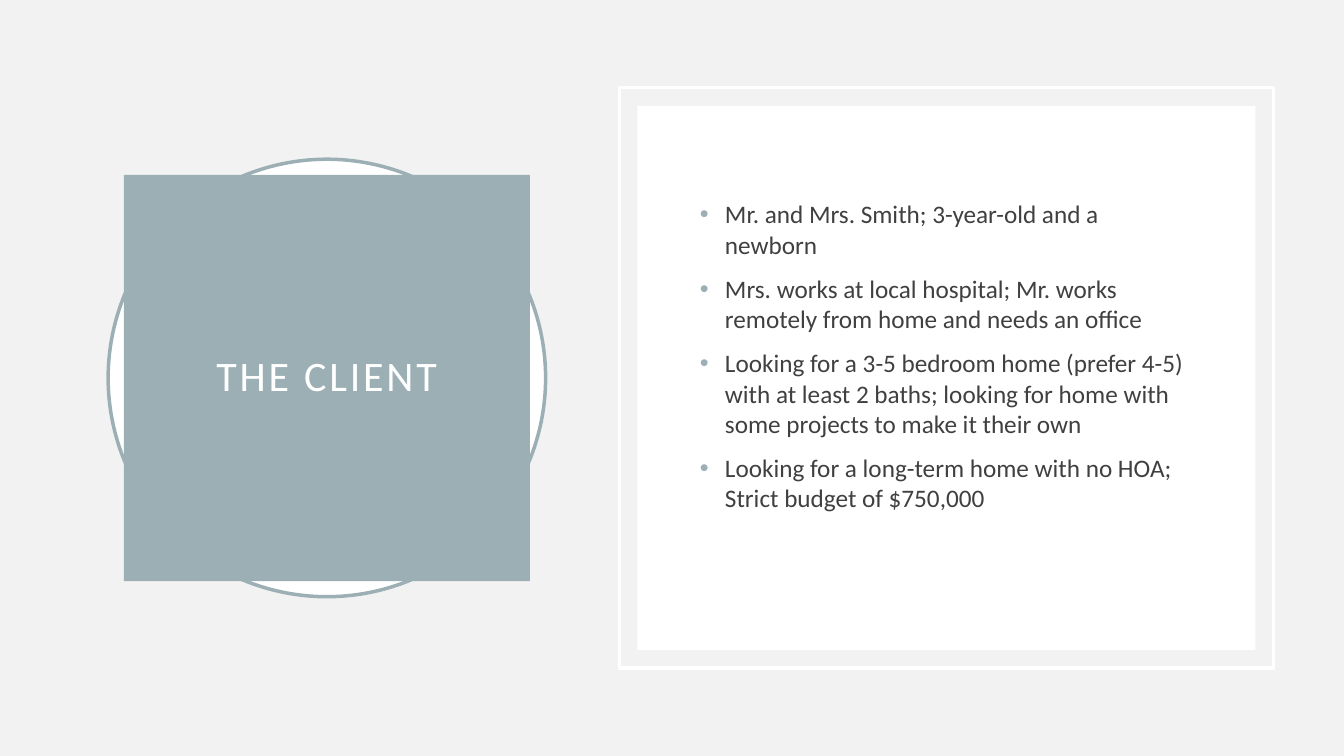
from pptx import Presentation
from pptx import util as u
from pptx.dml.color import RGBColor
from pptx.enum import shapes, text
from lxml import etree

PALE = RGBColor(0xF2, 0xF2, 0xF2)
WHITE = RGBColor(0xFF, 0xFF, 0xFF)
SAGE = RGBColor(0x9B, 0xAF, 0xB5)
INK = RGBColor(0x40, 0x40, 0x40)
A = "{http://schemas.openxmlformats.org/drawingml/2006/main}"

LEFT, RIGHT = 24.32, 70.42
FACTS = [
    "Mr. and Mrs. Smith; 3-year-old and a newborn",
    "Mrs. works at local hospital; Mr. works remotely from home and needs an office",
    "Looking for a 3-5 bedroom home (prefer 4-5) with at least 2 baths; "
    "looking for home with some projects to make it their own",
    "Looking for a long-term home with no HOA; Strict budget of $750,000",
]


class Page:
    face = "Calibri"
    stroke = u.Pt(2.5)

    def __init__(self, deck):
        self.wide, self.high = deck.slide_width, deck.slide_height
        self.slide = deck.slides.add_slide(deck.slide_layouts[5])
        fill = self.slide.background.fill
        fill.solid()
        fill.fore_color.rgb = PALE

    def box(self, mid, cols, rows):
        wide = int(self.wide * cols / 100)
        high = int(self.high * rows / 100)
        left = int(self.wide * mid / 100) - wide // 2
        return left, (self.high - high) // 2, wide, high

    def font(self, para, size, color):
        para.font.name = self.face
        para.font.size = u.Pt(size)
        para.font.color.rgb = color

    def shape(self, kind, mid, cols, rows, fill=None, line=None):
        item = self.slide.shapes.add_shape(kind, *self.box(mid, cols, rows))
        item.shadow.inherit = False
        if fill is None:
            item.fill.background()
        else:
            item.fill.solid()
            item.fill.fore_color.rgb = fill
        if line is None:
            item.line.fill.background()
        else:
            item.line.color.rgb = line
            item.line.width = self.stroke

    def title(self, words, mid, cols, rows):
        item = self.slide.shapes.title
        item.left, item.top, item.width, item.height = self.box(mid, cols, rows)
        item.fill.solid()
        item.fill.fore_color.rgb = SAGE
        frame = item.text_frame
        frame.text = words
        frame.word_wrap = True
        frame.auto_size = text.MSO_AUTO_SIZE.NONE
        frame.vertical_anchor = text.MSO_ANCHOR.MIDDLE
        frame.margin_left = frame.margin_right = u.Inches(0.2)
        frame.margin_top = frame.margin_bottom = u.Inches(0.2)
        para = frame.paragraphs[0]
        para.alignment = text.PP_ALIGN.CENTER
        para.line_spacing = 0.9
        self.font(para, 30, WHITE)
        para._p.pPr.find(A + "defRPr").set("spc", "200")
        self.slide.shapes._spTree.append(item._element)

    def bullets(self, lines, mid, cols, rows):
        item = self.slide.shapes.add_textbox(*self.box(mid, cols, rows))
        frame = item.text_frame
        frame.word_wrap = True
        frame.vertical_anchor = text.MSO_ANCHOR.MIDDLE
        frame.margin_bottom = u.Inches(0.49)
        frame.text = "\n".join(lines)
        for para in frame.paragraphs:
            para.space_before = u.Pt(10)
            self.font(para, 18, INK)
            self.mark(para._p.pPr)

    def mark(self, props):
        props.set("marL", str(u.Inches(0.25)))
        props.set("indent", str(-u.Inches(0.25)))
        tint = etree.Element(A + "buClr")
        etree.SubElement(tint, A + "srgbClr", val=str(SAGE))
        face = etree.Element(A + "buFont", typeface="Arial")
        dot = etree.Element(A + "buChar", char="•")
        last = props.find(A + "defRPr")
        for part in (tint, face, dot):
            last.addprevious(part)


def main():
    deck = Presentation()
    deck.slide_width, deck.slide_height = u.Inches(13.33), u.Inches(7.5)
    page = Page(deck)
    kind = shapes.MSO_SHAPE
    page.shape(kind.OVAL, LEFT, 32.55, 57.87, fill=WHITE, line=SAGE)
    page.title("THE CLIENT", LEFT, 30.22, 53.73)
    page.shape(kind.RECTANGLE, RIGHT, 48.68, 76.8, line=WHITE)
    page.shape(kind.RECTANGLE, RIGHT, 45.98, 72, fill=WHITE)
    page.bullets(FACTS, RIGHT, 38.18, 57.87)
    deck.save("out.pptx")


if __name__ == "__main__":
    main()
